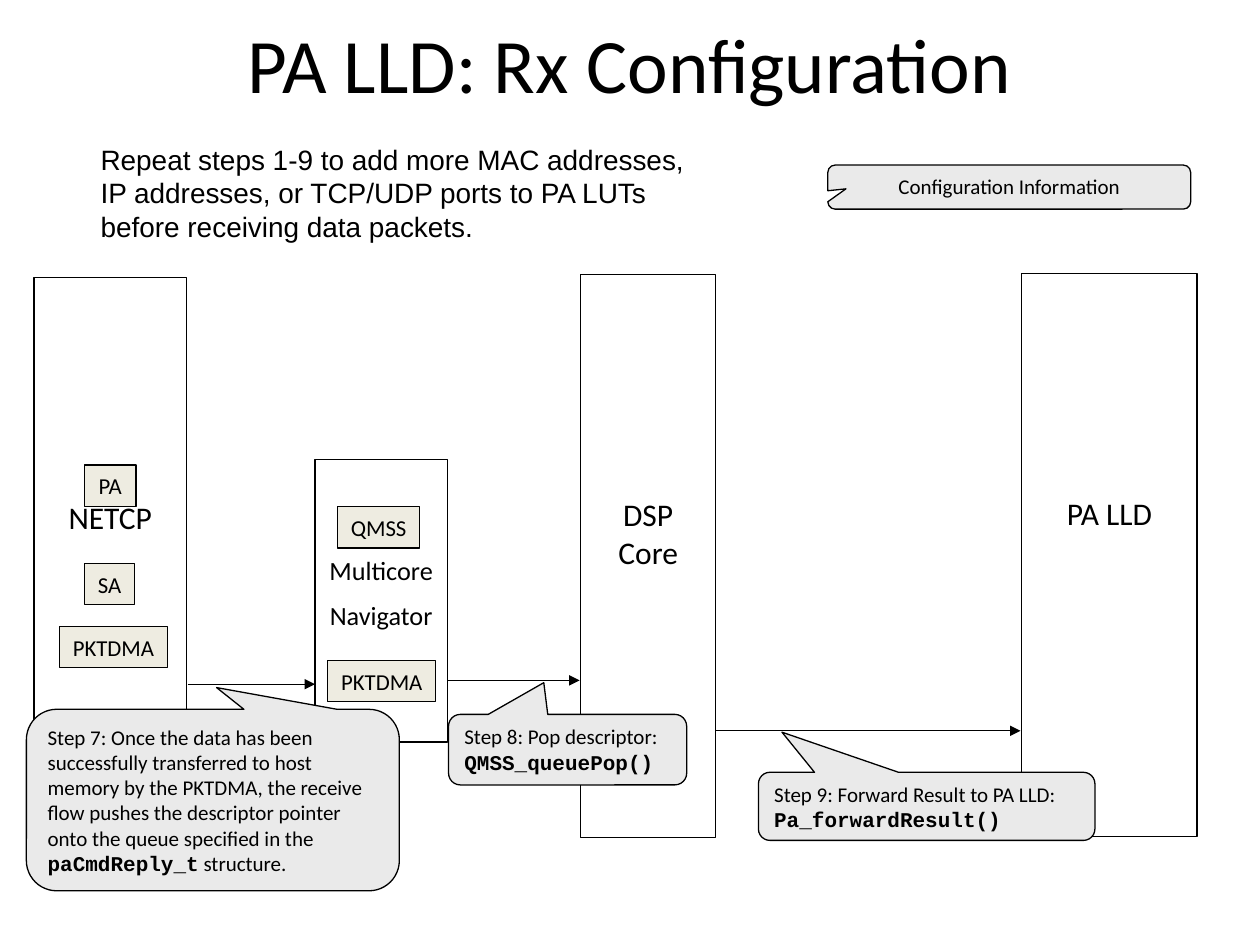
from dataclasses import dataclass

from lxml import etree
from pptx import Presentation
from pptx.dml.color import RGBColor
from pptx.enum.shapes import MSO_CONNECTOR, MSO_SHAPE
from pptx.enum.text import MSO_ANCHOR, PP_ALIGN
from pptx.oxml.ns import qn
from pptx.util import Inches, Pt

RECT = MSO_SHAPE.RECTANGLE
BUBBLE = MSO_SHAPE.ROUNDED_RECTANGULAR_CALLOUT
LINE = MSO_CONNECTOR.STRAIGHT
LEFT, MID = PP_ALIGN.LEFT, PP_ALIGN.CENTER
TOP, HALF = MSO_ANCHOR.TOP, MSO_ANCHOR.MIDDLE
BLACK, CREAM, GREY = "000000", "EEECE1", "EAEAEA"
SANS, CODE = "Calibri", "Courier New"

# The grid has 100 columns and 75 rows
COLS, ROWS = 100, 75
deck = Presentation()
deck.slide_width, deck.slide_height = Inches(10), Inches(7.5)
slide = deck.slides.add_slide(deck.slide_layouts[6])


@dataclass
class Area:
    x: float
    y: float
    w: float
    h: float


@dataclass
class Block:
    area: Area
    lines: list[str]
    size: int
    drop: float  # rows from the top edge to the text


@dataclass
class Chip:
    area: Area
    name: str


@dataclass
class Note:
    area: Area
    tip: tuple[float, float]
    lines: list[str]  # text between bars is code
    align: PP_ALIGN = LEFT


@dataclass
class Arrow:
    start: float
    end: float
    y: float


def col(n: float) -> int:
    return round(deck.slide_width * n / COLS)


def row(n: float) -> int:
    return round(deck.slide_height * n / ROWS)


def place(area: Area) -> tuple[int, int, int, int]:
    return col(area.x), row(area.y), col(area.w), row(area.h)


def paint(part, tone: str) -> None:
    part.solid()
    part.fore_color.rgb = RGBColor.from_string(tone)


def write(shape, lines: list[str], *, size: int, font: str = SANS,
          align: PP_ALIGN = LEFT, anchor: MSO_ANCHOR = TOP,
          wrap: bool = True, drop: float = 0.5, gap: float = 0) -> None:
    frame = shape.text_frame
    frame.word_wrap = wrap
    frame.vertical_anchor = anchor
    frame.margin_top = row(drop)
    for i, line in enumerate(lines):
        para = frame.add_paragraph() if i else frame.paragraphs[0]
        para.alignment = align
        para.space_after = Pt(gap)
        for j, part in enumerate(line.split("|")):
            if not part:
                continue
            run = para.add_run()
            run.text = part
            run.font.size = Pt(size)
            run.font.name = CODE if j % 2 else font
            run.font.bold = bool(j % 2)
            paint(run.font.fill, BLACK)


def draw(kind: MSO_SHAPE, area: Area, tone: str = ""):
    shape = slide.shapes.add_shape(kind, *place(area))
    shape.shadow.inherit = False
    if tone:
        paint(shape.fill, tone)
    else:
        shape.fill.background()
    paint(shape.line.fill, BLACK)
    shape.line.width = Pt(0.75)
    return shape


def block(b: Block) -> None:
    write(draw(RECT, b.area), b.lines, size=b.size, align=MID,
          drop=b.drop, gap=b.size / 2)


def chip(c: Chip) -> None:
    write(draw(RECT, c.area, CREAM), [c.name], size=13, align=MID,
          anchor=HALF, wrap=False)


def note(n: Note) -> None:
    shape = draw(BUBBLE, n.area, GREY)
    shape.adjustments[0], shape.adjustments[1] = n.tip
    write(shape, n.lines, size=12, align=n.align)


def arrow(a: Arrow) -> None:
    line = slide.shapes.add_connector(
        LINE, col(a.start), row(a.y), col(a.end), row(a.y))
    paint(line.line.fill, BLACK)
    line.line.width = Pt(0.75)
    props = line._element.spPr
    etree.SubElement(props.find(qn("a:ln")), qn("a:tailEnd"), type="triangle")
    etree.SubElement(props, qn("a:effectLst"))


def label(area: Area, text: str, **form) -> None:
    write(slide.shapes.add_textbox(*place(area)), [text], **form)


TALL = 44.7
blocks = [
    Block(Area(25, 36.5, 10.5, 22.4), ["Multicore", "Navigator"], 15, 7.5),
    Block(Area(46.1, 21.8, 10.7, TALL), ["DSP Core"], 18, 17.5),
    Block(Area(2.7, 22, 12.1, TALL), ["NETCP"], 18, 17.5),
    Block(Area(81.1, 21.7, 13.9, TALL), ["PA LLD"], 18, 17.5),
]
chips = [
    Chip(Area(x, y, w, 3.3), name) for x, y, w, name in [
        (26, 52.4, 8.6, "PKTDMA"),
        (26.8, 40.2, 6.5, "QMSS"),
        (4.7, 49.7, 8.6, "PKTDMA"),
        (6.7, 36.9, 4.1, "PA"),
        (6.7, 44.7, 4, "SA"),
    ]
]
arrows = [Arrow(56.8, 81, 58), Arrow(35.5, 46, 54), Arrow(14.9, 25, 54.3)]
notes = [
    Note(Area(60.2, 61.3, 26.7, 5.4), (-0.43, -1.09),
         ["Step 9: Forward Result to PA LLD:", "|Pa_forwardResult()|"]),
    Note(Area(35.6, 56.7, 18.9, 5.6), (-0.1, -0.95),
         ["Step 8: Pop descriptor:", "|QMSS_queuePop()|"]),
    Note(Area(65.7, 13.1, 28.8, 3.5), (-0.45, 0.04),
         ["Configuration Information"], MID),
    Note(Area(2.1, 56.3, 29.6, 14.4), (0.01, -0.62),
         ["Step 7: Once the data has been successfully transferred to host "
          "memory by the PKTDMA, the receive flow pushes the descriptor "
          "pointer onto the queue specified in the |paCmdReply_t| structure."]),
]

# Units and their parts
for b in blocks:
    block(b)
for c in chips:
    chip(c)

# Heading and lead text
label(Area(5, 0.8, 90, 8.3), "PA LLD: Rx Configuration",
      size=44, align=MID, anchor=HALF)
label(Area(7, 10.8, 49, 9),
      "Repeat steps 1-9 to add more MAC addresses, IP addresses, or TCP/UDP "
      "ports to PA LUTs before receiving data packets.",
      size=16, font="Arial")

# Data flow and step notes
for a in arrows:
    arrow(a)
for n in notes:
    note(n)

deck.save("out.pptx")
